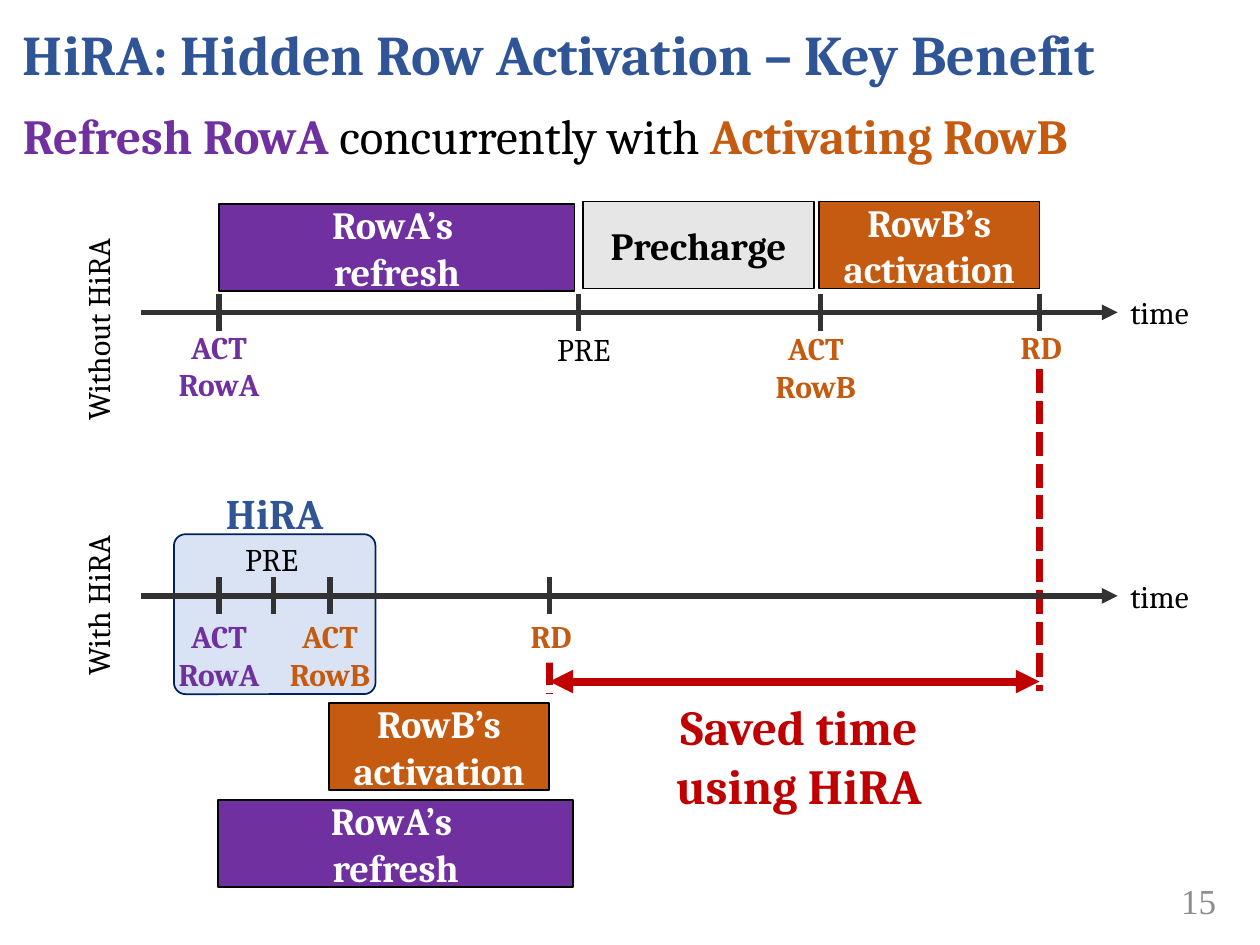
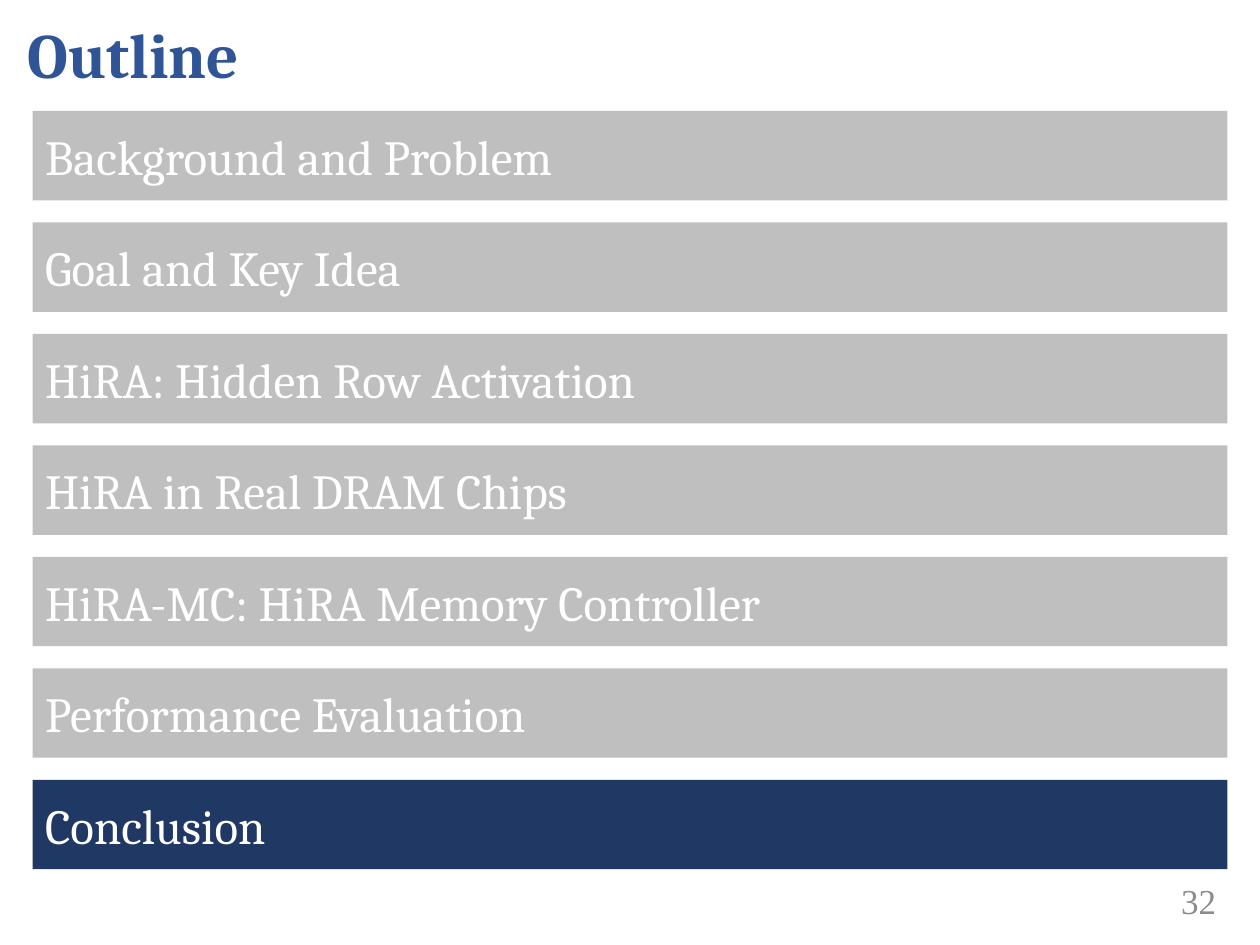
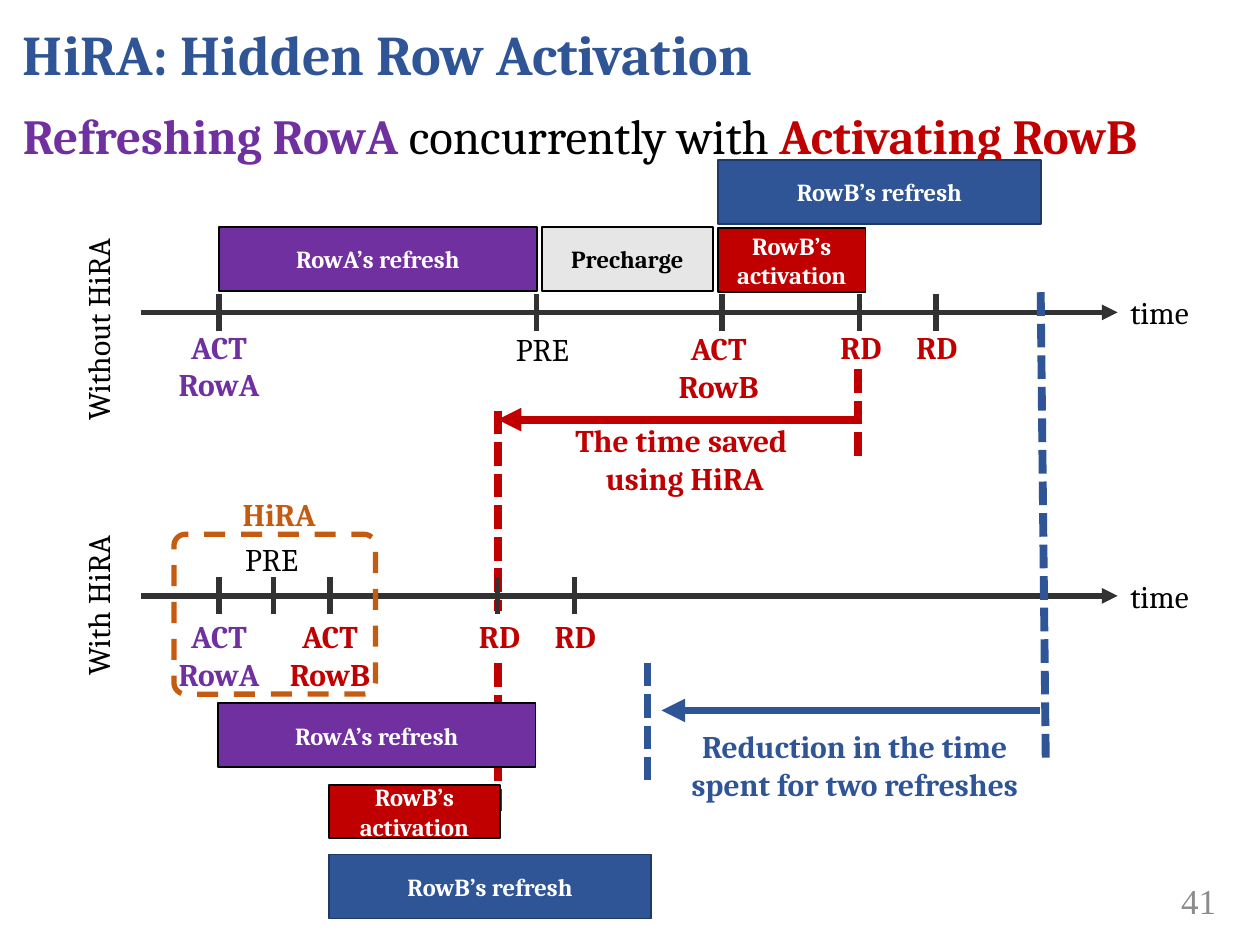
from collections import namedtuple

from lxml.etree import SubElement
from pptx import Presentation
from pptx.dml.color import RGBColor
from pptx.enum.dml import MSO_LINE as Dash
from pptx.enum.shapes import MSO_CONNECTOR as Connector, MSO_SHAPE as Preset
from pptx.enum.text import MSO_ANCHOR as Anchor, MSO_AUTO_SIZE as AutoSize, PP_ALIGN as Align
from pptx.oxml.ns import qn
from pptx.util import Pt

Box = namedtuple("Box", "left top width height")

# Shared colours
BLUE, NAVY, DEEP_NAVY, PALE_BLUE = "2F5597", "203864", "002060", "DAE3F3"
PURPLE, ORANGE, RED = "7030A0", "C55A11", "C00000"
BLACK, WHITE, AXIS_GREY = "000000", "FFFFFF", "323232"
LIGHT_GREY, BAND_GREY, NUMBER_GREY = "E7E6E6", "BFBFBF", "8C8C8C"

# Shared places
TITLE_BOX = Box(5.8, 0, 707.8, 60.5)
BODY_BOX = Box(5.8, 60.5, 707.8, 440)
NUMBER_BOX = Box(624.2, 500.4, 77.8, 28.8)
UPPER_AXIS = Box(80.6, 168, 558, 21)
LOWER_AXIS = Box(80.6, 330, 558, 21)
HIRA_BOX = Box(99.4, 305.3, 115.2, 91.4)
LABEL_WIDTH = {"ACT\nRowA": 62.6, "ACT\nRowB": 62.6, "PRE": 46.8, "RD": 39.6, "time": 49.7,
               "HiRA": 56.9, "Without HiRA": 122.4, "With HiRA": 96.5}
LINE_HEIGHT = 22.3


# Basic helpers
def colour_of(hex_string):
    return RGBColor.from_string(hex_string)


def points(values):
    return [Pt(value) for value in values]


def inside(box, left, top, width, height):
    return Box(box.left + left, box.top + top, width, height)


def set_all(target, values):
    for name, value in values.items():
        setattr(target, name, value)


def format_frame(frame, wrap=True, anchor=Anchor.TOP, fit=AutoSize.NONE):
    set_all(frame, {"word_wrap": wrap, "vertical_anchor": anchor, "auto_size": fit})


def add_span(para, text, size, colour, bold=False, font="Cambria"):
    span = para.add_run()
    span.text = text
    set_all(span.font, {"name": font, "size": Pt(size), "bold": bold})
    span.font.color.rgb = colour_of(colour)


def write(frame, text, size, colour, bold=False, align=Align.CENTER, font="Cambria"):
    for index, line in enumerate(text.split("\n")):
        para = frame.add_paragraph() if index else frame.paragraphs[0]
        para.alignment = align
        add_span(para, line, size, colour, bold, font)


def add_panel(page, box, fill=None, line=None, width=1, dash=None, preset=Preset.RECTANGLE):
    panel = page.shapes.add_shape(preset, *points(box))
    panel.shadow.inherit = False
    if fill:
        panel.fill.solid()
        panel.fill.fore_color.rgb = colour_of(fill)
    else:
        panel.fill.background()
    if line:
        panel.line.color.rgb = colour_of(line)
        set_all(panel.line, {"width": Pt(width), "dash_style": dash})
    else:
        panel.line.fill.background()
    return panel


def add_line(page, start, end, colour, width, dash=None, heads=()):
    line = page.shapes.add_connector(Connector.STRAIGHT, *points(start + end))
    line.line.color.rgb = colour_of(colour)
    set_all(line.line, {"width": Pt(width), "dash_style": dash})
    properties = line._element.spPr
    for head in heads:
        SubElement(properties.find(qn("a:ln")), qn(f"a:{head}"), type="triangle")
    SubElement(properties, qn("a:effectLst"))


def add_label(page, centre, top, text, colour, bold=False, size=18, fill=None):
    """A text box centred on a point, as large as its text."""
    width = LABEL_WIDTH[text] * size / 18
    height = 7.2 + LINE_HEIGHT * size / 18 * len(text.split("\n"))
    label = page.shapes.add_textbox(*points((centre - width / 2, top, width, height)))
    if fill:
        label.fill.solid()
        label.fill.fore_color.rgb = colour_of(fill)
    format_frame(label.text_frame, wrap=False, fit=AutoSize.SHAPE_TO_FIT_TEXT)
    write(label.text_frame, text, size, colour, bold)
    return label


# Parts that every slide has
def place(holder, box):
    set_all(holder, dict(zip(box._fields, points(box))))


def start_page(deck, layout, title, number, title_box=TITLE_BOX, size=32):
    page = deck.slides.add_slide(deck.slide_layouts[layout])
    place(page.shapes.title, title_box)
    frame = page.shapes.title.text_frame
    format_frame(frame, anchor=Anchor.MIDDLE)
    write(frame, title, size, BLUE, True, Align.LEFT)
    frame.paragraphs[0].space_after = Pt(6)

    number_box = page.shapes.add_textbox(*points(NUMBER_BOX))
    format_frame(number_box.text_frame, anchor=Anchor.MIDDLE)
    write(number_box.text_frame, number, 20, NUMBER_GREY, align=Align.RIGHT,
          font="Times New Roman")
    return page


def headline(page, box, first, last, last_colour):
    holder = page.placeholders[1]
    place(holder, box)
    format_frame(holder.text_frame)
    para = holder.text_frame.paragraphs[0]
    set_all(para, {"line_spacing": 0.9, "space_before": Pt(0), "space_after": Pt(12)})
    para_properties = para._p.get_or_add_pPr()
    para_properties.set("marL", "0")
    para_properties.set("indent", "0")
    SubElement(para_properties, qn("a:buNone"))
    add_span(para, first, 28, PURPLE, True)
    add_span(para, " concurrently with ", 28, BLACK)
    add_span(para, last, 28, last_colour, True)


# Regions of the timing slides
def timeline(page, box, caption, caption_shift, marks):
    """Marks: tick x, label shift, label top, command, colour, label fill."""
    middle = box.top + box.height / 2
    right = box.left + box.width
    add_line(page, (box.left, middle), (right, middle), AXIS_GREY, 3, heads=["tailEnd"])
    add_label(page, right + 24, box.top - 4, "time", BLACK)
    for x, shift, top, command, colour, fill in marks:
        x += box.left
        add_label(page, x + shift, box.top + top, command, colour, colour != BLACK, fill=fill)
        add_line(page, (x, box.top), (x, box.top + box.height), AXIS_GREY, 3)
    label = add_label(page, box.left - 24.4, middle + caption_shift - 14.4, caption, BLACK)
    label.rotation = 270


def bars(page, box, size, items):
    """Items: left, top, width, height, text, fill."""
    for *place_in_box, text, fill in items:
        line = NAVY if fill == BLUE else BLACK
        bar = add_panel(page, inside(box, *place_in_box), fill, line)
        format_frame(bar.text_frame, anchor=Anchor.MIDDLE)
        write(bar.text_frame, text, size, BLACK if fill == LIGHT_GREY else WHITE, True)


def time_saving(page, box, colour, guides, arrow, heads, note, text, size):
    """Dashed guides, an arrow between them and a note."""
    for x, top, end_x, bottom in guides:
        add_line(page, (box.left + x, box.top + top), (box.left + end_x, box.top + bottom),
                 colour, 4.5, Dash.SQUARE_DOT)
    start, end, y = arrow
    add_line(page, (box.left + start, box.top + y), (box.left + end, box.top + y),
             colour, 4.5, heads=heads)
    note_box = page.shapes.add_textbox(*points(inside(box, *note)))
    format_frame(note_box.text_frame, fit=AutoSize.SHAPE_TO_FIT_TEXT)
    write(note_box.text_frame, text, size, colour, True)


def hira_frame(page, box, label_shift, label_top, colour, size, **style):
    frame = add_panel(page, box, preset=Preset.ROUNDED_RECTANGLE, **style)
    frame.adjustments[0] = 0.072
    add_label(page, box.left + box.width / 2 + label_shift, box.top + label_top, "HiRA",
              colour, True, size)


def hira_marks(colour):
    """The three commands that form one HiRA operation."""
    return [(44.6, 0, 19.2, "ACT\nRowA", PURPLE, None),
            (75.6, -1, -24.7, "PRE", BLACK, None),
            (108, 0, 19.2, "ACT\nRowB", colour, None)]


# Slides
def benefit_slide(deck):
    page = start_page(deck, 1, "HiRA: Hidden Row Activation – Key Benefit", "15")
    headline(page, BODY_BOX, "Refresh RowA", "Activating RowB", ORANGE)
    hira_frame(page, HIRA_BOX, 0, -30, BLUE, 24, fill=PALE_BLUE, line=DEEP_NAVY)
    time_saving(page, Box(314, 211, 280, 186), RED,
                guides=[(0, 167, 0, 185.7), (280, 0, 280, 183.6)],
                arrow=(280, 0, 178.5), heads=["headEnd", "tailEnd"],
                note=(5, 183.6, 275, 75), text="Saved time\nusing HiRA", size=28)
    timeline(page, UPPER_AXIS, "Without HiRA", 9.4, [
        (44.6, 0, 15.6, "ACT\nRowA", PURPLE, None),
        (249.8, 3.2, 17, "PRE", BLACK, None),
        (388.1, -2.5, 16.3, "ACT\nRowB", ORANGE, None),
        (513.4, 1, 15.6, "RD", ORANGE, None)])
    timeline(page, LOWER_AXIS, "With HiRA", 5.1, hira_marks(ORANGE) + [
        (233.3, 1, 19.2, "RD", ORANGE, WHITE)])
    bars(page, Box(125.3, 115.2, 468.7, 51), 22, [
        (0, 1.4, 203, 49.7, "RowA’s \nrefresh", PURPLE),
        (208, 0, 131.8, 49.7, "Precharge", LIGHT_GREY),
        (342.7, 0, 126, 49.7, "RowB’s activation", ORANGE)])
    bars(page, Box(124.6, 401.8, 203, 105), 22, [
        (63.3, 0, 126, 49.7, "RowB’s activation", ORANGE),
        (0, 55.4, 203, 49.7, "RowA’s \nrefresh", PURPLE)])


def outline_slide(deck, current="Conclusion"):
    page = start_page(deck, 5, "Outline", "32", Box(8.6, 0, 699.1, 60.5), 36)
    sections = ["Background and Problem", "Goal and Key Idea", "HiRA: Hidden Row Activation",
                "HiRA in Real DRAM Chips", "HiRA-MC: HiRA Memory Controller",
                "Performance Evaluation", "Conclusion"]
    area = Box(18.7, 63.4, 682.6, 433.3)
    height = 51.1
    pitch = (area.height - height) / (len(sections) - 1)
    for index, section in enumerate(sections):
        band = add_panel(page, inside(area, 0, index * pitch, area.width, height),
                         NAVY if section == current else BAND_GREY)
        format_frame(band.text_frame, anchor=Anchor.MIDDLE)
        write(band.text_frame, section, 28, WHITE, align=Align.LEFT)


def refresh_slide(deck):
    page = start_page(deck, 1, "HiRA: Hidden Row Activation", "41")
    headline(page, BODY_BOX, "Refreshing RowA", "Activating RowB", RED)
    time_saving(page, Box(284.4, 211, 206, 253), RED,
                guides=[(0, 23.7, 0, 252.7), (206, 0, 206, 53.2)],
                arrow=(206, 0, 28.8), heads=["tailEnd"],
                note=(15.8, 25.9, 182.2, 51.1), text="The time saved \nusing HiRA", size=18)
    timeline(page, UPPER_AXIS, "Without HiRA", 9.4, [
        (44.6, 0, 15.6, "ACT\nRowA", PURPLE, None),
        (226.1, 3.2, 17, "PRE", BLACK, None),
        (331.9, -1.8, 16.3, "ACT\nRowB", RED, None),
        (410.4, 1, 15.6, "RD", RED, None),
        (454.3, 0.4, 15.6, "RD", RED, None)])
    timeline(page, LOWER_AXIS, "With HiRA", 5.1, hira_marks(RED) + [
        (247.7, 0.4, 19.2, "RD", RED, None),
        (203.8, 1, 19.2, "RD", RED, WHITE)])
    bars(page, Box(125.3, 91.4, 469.4, 75.6), 14, [
        (0, 38.2, 181.4, 36.7, "RowA’s refresh", PURPLE),
        (184.3, 38.2, 97.9, 36.7, "Precharge", LIGHT_GREY),
        (285.1, 38.9, 84.2, 36.7, "RowB’s activation", RED),
        (285.1, 0, 184.3, 36.7, "RowB’s refresh", BLUE)])
    bars(page, Box(124.6, 401.8, 247.7, 123), 14, [
        (0, 0, 181.4, 36.7, "RowA’s refresh", PURPLE),
        (63.3, 46.8, 97.9, 30.2, "RowB’s activation", RED),
        (63.3, 86.4, 184.3, 36.7, "RowB’s refresh", BLUE)])
    time_saving(page, Box(370, 167, 227.6, 279), BLUE,
                guides=[(0, 211.7, 0, 278.7), (224.7, 0, 227.6, 270)],
                arrow=(224, 8, 239), heads=["tailEnd"],
                note=(9.4, 244.8, 218.2, 51.1),
                text="Reduction in the time spent for two refreshes", size=18)
    hira_frame(page, HIRA_BOX, 2.5, -26, ORANGE, 18, line=ORANGE, width=3, dash=Dash.DASH)


def main():
    deck = Presentation()
    set_all(deck, {"slide_width": Pt(720), "slide_height": Pt(540)})
    benefit_slide(deck)
    outline_slide(deck)
    refresh_slide(deck)
    deck.save("out.pptx")


if __name__ == "__main__":
    main()
